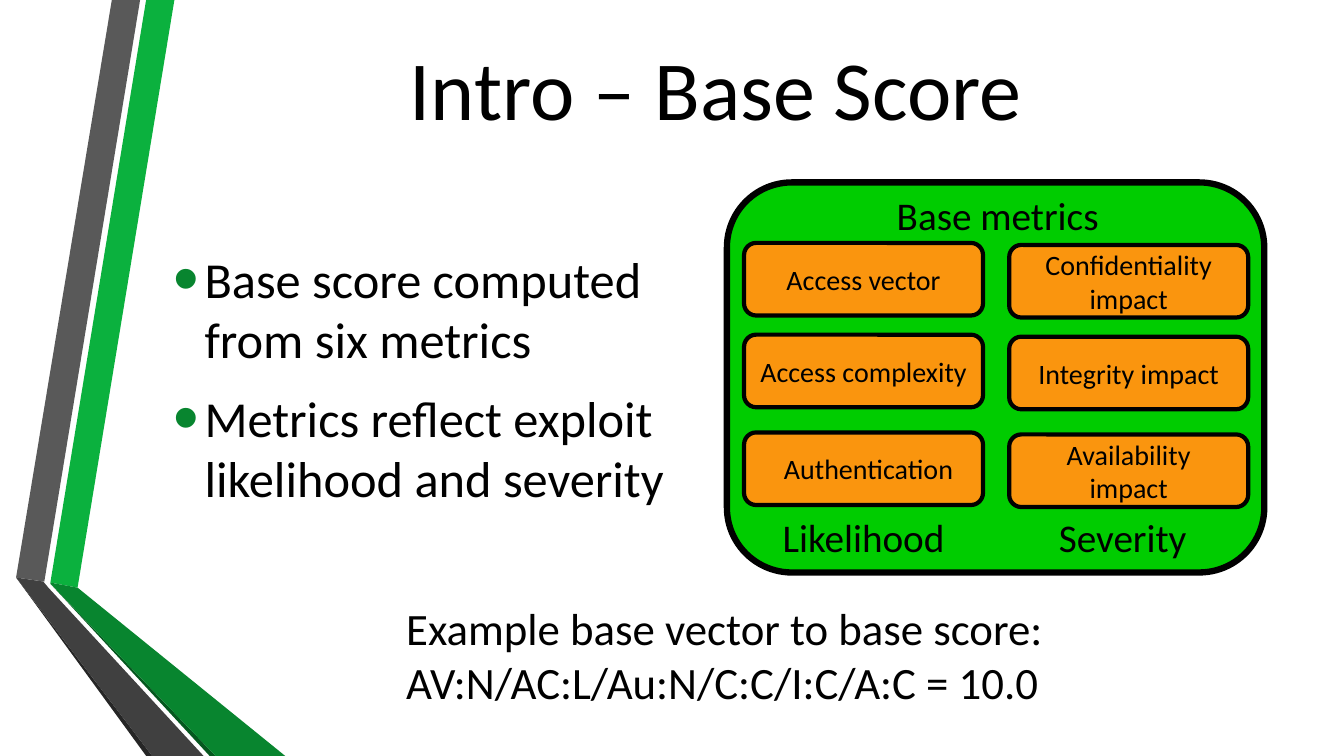
import pptx
import pptx.util
import pptx.dml.color
import pptx.enum.shapes
import pptx.enum.text
import pptx.oxml
from pptx.oxml.ns import nsdecls

Inches = pptx.util.Inches
Pt = pptx.util.Pt
ALIGN = pptx.enum.text.PP_ALIGN
ANCHOR = pptx.enum.text.MSO_ANCHOR
ROUND = pptx.enum.shapes.MSO_SHAPE.ROUNDED_RECTANGLE

COLORS = {
    "black": "000000", "panel": "00CC00", "metric": "FA950E",
    "lime": "0BB13E", "green": "08852F", "forest": "05581F",
    "gray": "595959", "dark": "404040", "coal": "262626",
}

# Ribbon facets at the left edge, back to front
RIBBONS = [
    ("lime", [(0.5, 5.78), (0.77, 5.83), (1.73, 0), (1.45, 0)]),
    ("gray", [(1.39, 0), (1.11, 0), (0.16, 5.73), (0.44, 5.77)]),
    ("coal", [(0.16, 5.73), (1.45, 7.5), (1.51, 7.5)]),
    ("forest", [(0.5, 5.79), (2.08, 7.5), (2.14, 7.5)]),
    ("green", [(0.5, 5.79), (2.14, 7.5), (2.83, 7.5), (0.77, 5.83), (0.5, 5.78)]),
    ("dark", [(2.02, 7.5), (0.48, 5.83), (0.43, 5.77), (0.16, 5.73), (1.51, 7.5)]),
]

# Metric columns: left edge, top offset, side inset, names
COLUMNS = [
    (7.38, 0, 0.08, ["Access vector", "Access complexity", "Authentication"]),
    (10.01, 0.02, 0.18,
     ["Confidentiality impact", "Integrity impact", "Availability impact"]),
]
ROWS = [2.41, 3.32, 4.29]


def color(name):
    return pptx.dml.color.RGBColor.from_string(COLORS[name])


def write(frame, lines, size, align=ALIGN.CENTER, anchor=ANCHOR.MIDDLE):
    frame.word_wrap = True
    frame.vertical_anchor = anchor
    frame.text = "\n".join(lines)
    for par in frame.paragraphs:
        par.alignment = align
        par.font.name = "Calibri"
        par.font.size = Pt(size)
        par.font.color.rgb = color("black")


def add_text(slide, box, lines, size, align=ALIGN.CENTER, anchor=ANCHOR.TOP):
    text = slide.shapes.add_textbox(*map(Inches, box))
    write(text.text_frame, lines, size, align, anchor)
    return text.text_frame


def add_round(slide, box, fill, width):
    shape = slide.shapes.add_shape(ROUND, *map(Inches, box))
    shape.shadow.inherit = False
    shape.fill.solid()
    shape.fill.fore_color.rgb = color(fill)
    shape.line.color.rgb = color("black")
    shape.line.width = Pt(width)
    return shape


def add_facet(slide, fill, points):
    spots = [(Inches(x), Inches(y)) for x, y in points]
    form = slide.shapes.build_freeform(*spots[0])
    form.add_line_segments(spots[1:], close=True)
    shape = form.convert_to_shape()
    shape.shadow.inherit = False
    shape.fill.solid()
    shape.fill.fore_color.rgb = color(fill)
    shape.line.fill.background()


def add_metric(slide, left, top, inset, name):
    shape = add_round(slide, (left, top, 2.37, 0.72), "metric", 3)
    frame = shape.text_frame
    write(frame, [name], 20)
    frame.margin_top = frame.margin_bottom = 0
    frame.margin_left = frame.margin_right = Inches(inset)
    return frame


def set_bullet(par):
    par.space_before = Pt(7)
    par.space_after = Pt(6)
    props = par._p.get_or_add_pPr()
    props.set("marL", str(Inches(0.31)))
    props.set("indent", str(Inches(-0.31)))
    for tag in (
        f'<a:buClr {nsdecls("a")}><a:srgbClr val="{COLORS["green"]}"/></a:buClr>',
        f'<a:buSzPct {nsdecls("a")} val="145000"/>',
        f'<a:buFont {nsdecls("a")} typeface="Arial"/>',
        f'<a:buChar {nsdecls("a")} char="•"/>',
    ):
        props.insert_element_before(
            pptx.oxml.parse_xml(tag), "a:tabLst", "a:defRPr", "a:extLst")


def main():
    deck = pptx.Presentation()
    deck.slide_width, deck.slide_height = Inches(13.33), Inches(7.5)
    slide = deck.slides.add_slide(deck.slide_layouts[5])

    # Ribbon
    for fill, points in RIBBONS:
        add_facet(slide, fill, points)

    # Title
    title = slide.shapes.title
    title.left, title.top = Inches(1.62), Inches(0.29)
    title.width, title.height = Inches(10.96), Inches(1.15)
    write(title.text_frame, ["Intro – Base Score"], 60)

    # Bullets
    body = add_text(slide, (1.62, 1.76, 5.22, 3.98), [
        "Base score computed from six metrics",
        "Metrics reflect exploit likelihood and severity",
    ], 36, ALIGN.LEFT, ANCHOR.MIDDLE)
    for par in body.paragraphs:
        set_bullet(par)

    # Panel of metrics
    add_round(slide, (7.21, 1.81, 5.33, 3.87), "panel", 4.5)
    add_text(slide, (7.21, 1.85, 5.37, 0.6), ["Base metrics"], 28)
    for left, shift, inset, names in COLUMNS:
        for top, name in zip(ROWS, names):
            frame = add_metric(slide, left, top + shift, inset, name)
            if name == "Authentication":
                frame.margin_left = Inches(0.18)
    for left, name in ((7.42, "Likelihood"), (9.99, "Severity")):
        add_text(slide, (left, 5.04, 2.29, 0.57), [name], 28)

    # Example
    add_text(slide, (3.93, 5.91, 6.72, 1.48), [
        "Example base vector to base score:\vAV:N/AC:L/Au:N/C:C/I:C/A:C = 10.0",
    ], 32, ALIGN.LEFT)

    deck.save("out.pptx")


if __name__ == "__main__":
    main()
